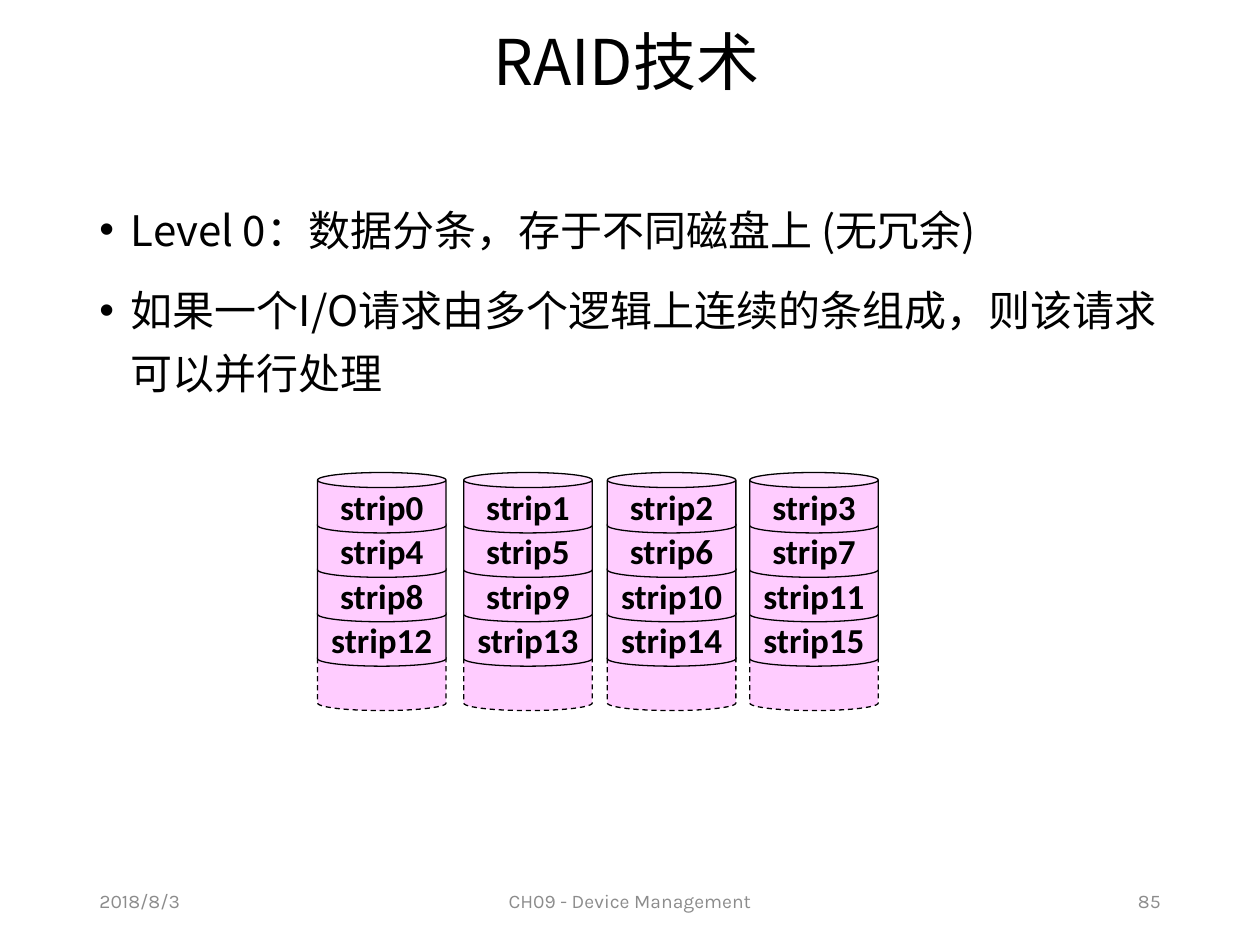
from lxml import etree
from pptx import Presentation
from pptx.dml.color import RGBColor
from pptx.enum import dml, shapes, text
from pptx.oxml import ns
from pptx.util import Inches, Pt

BLACK = RGBColor(0, 0, 0)
GRAY = RGBColor(0x8C, 0x8C, 0x8C)
PINK = RGBColor(0xFF, 0xCC, 0xFF)
CJK = "Noto Sans CJK SC"
ALIGN = text.PP_ALIGN


def write(tf, lines, size, font, color=BLACK, bold=False, align=ALIGN.LEFT,
          spacing=None, gap=0, bullet=None, wrap=True,
          anchor=text.MSO_ANCHOR.MIDDLE):
    tf.word_wrap = wrap
    tf.vertical_anchor = anchor
    for i, line in enumerate(lines):
        p = tf.paragraphs[0] if i == 0 else tf.add_paragraph()
        p.alignment = align
        p.line_spacing = spacing
        p.space_before = Pt(gap if i else 0)
        if bullet:
            pPr = p._p.get_or_add_pPr()
            pPr.set("marL", str(Inches(0.25)))
            pPr.set("indent", str(-Inches(0.25)))
            etree.SubElement(pPr, ns.qn("a:buFont"), typeface="Arial")
            etree.SubElement(pPr, ns.qn("a:buChar"), char=bullet)
        r = p.add_run()
        r.text = line
        r.font.size = Pt(size)
        r.font.name = font
        r.font.bold = bold
        r.font.color.rgb = color
        etree.SubElement(r._r.get_or_add_rPr(), ns.qn("a:ea"), typeface=font)


def add_text(s, box, lines, size, font, **fmt):
    tf = s.shapes.add_textbox(*map(Inches, box)).text_frame
    write(tf, lines, size, font, **fmt)
    return tf


def add_title(s, box):
    add_text(s, box, ["RAID技术"], 36, CJK, align=ALIGN.CENTER, spacing=0.9)


def add_body(s, box):
    lines = ["Level 0：数据分条，存于不同磁盘上 (无冗余)",
             "如果一个I/O请求由多个逻辑上连续的条组成，则该请求可以并行处理"]
    tf = add_text(s, box, lines, 24, CJK, spacing=Pt(36), gap=10, bullet="•",
                  anchor=text.MSO_ANCHOR.TOP)
    tf.margin_top = Inches(0.08)


def add_footer(s, box):
    left, top, width, height = box
    parts = [("2018/8/3", 0, 2.25, ALIGN.LEFT),
             ("CH09 - Device Management", (width - 3.38) / 2, 3.38, ALIGN.CENTER),
             ("85", width - 2.25, 2.25, ALIGN.RIGHT)]
    for label, dx, w, align in parts:
        add_text(s, (left + dx, top, w, height), [label], 11, "Karla",
                 color=GRAY, align=align)


def add_disk(group, box, strips):
    left, top, width, height = box
    can_height = 0.48
    pitch = (height - can_height) / len(strips)
    for row in range(len(strips), -1, -1):
        sp = group.shapes.add_shape(
            shapes.MSO_SHAPE.CAN, Inches(left), Inches(top + row * pitch),
            Inches(width), Inches(can_height))
        sp.adjustments[0] = 0.25
        sp.shadow.inherit = False
        sp.fill.solid()
        sp.fill.fore_color.rgb = PINK
        sp.line.color.rgb = BLACK
        sp.line.width = Pt(0.75)
        if row == len(strips):
            sp.line.dash_style = dml.MSO_LINE.DASH
        else:
            write(sp.text_frame, [strips[row]], 20, "Calibri", bold=True,
                  align=ALIGN.CENTER, wrap=False)


def add_array(s, box):
    left, top, width, height = box
    offsets = (0, 1.16, 2.3, 3.43)
    disk_width = width - offsets[-1]
    group = s.shapes.add_group_shape()
    for disk, dx in enumerate(offsets):
        strips = [f"strip{n}" for n in range(disk, 16, len(offsets))]
        add_disk(group, (left + dx, top, disk_width, height), strips)


def main():
    prs = Presentation()
    prs.slide_width, prs.slide_height = Inches(10), Inches(7.5)
    s = prs.slides.add_slide(prs.slide_layouts[6])
    add_title(s, (0.66, 0.14, 8.62, 0.76))
    add_body(s, (0.69, 1.44, 8.62, 5.38))
    add_footer(s, (0.69, 6.95, 8.62, 0.4))
    add_array(s, (2.52, 3.75, 4.45, 1.89))
    prs.save("out.pptx")


if __name__ == "__main__":
    main()
